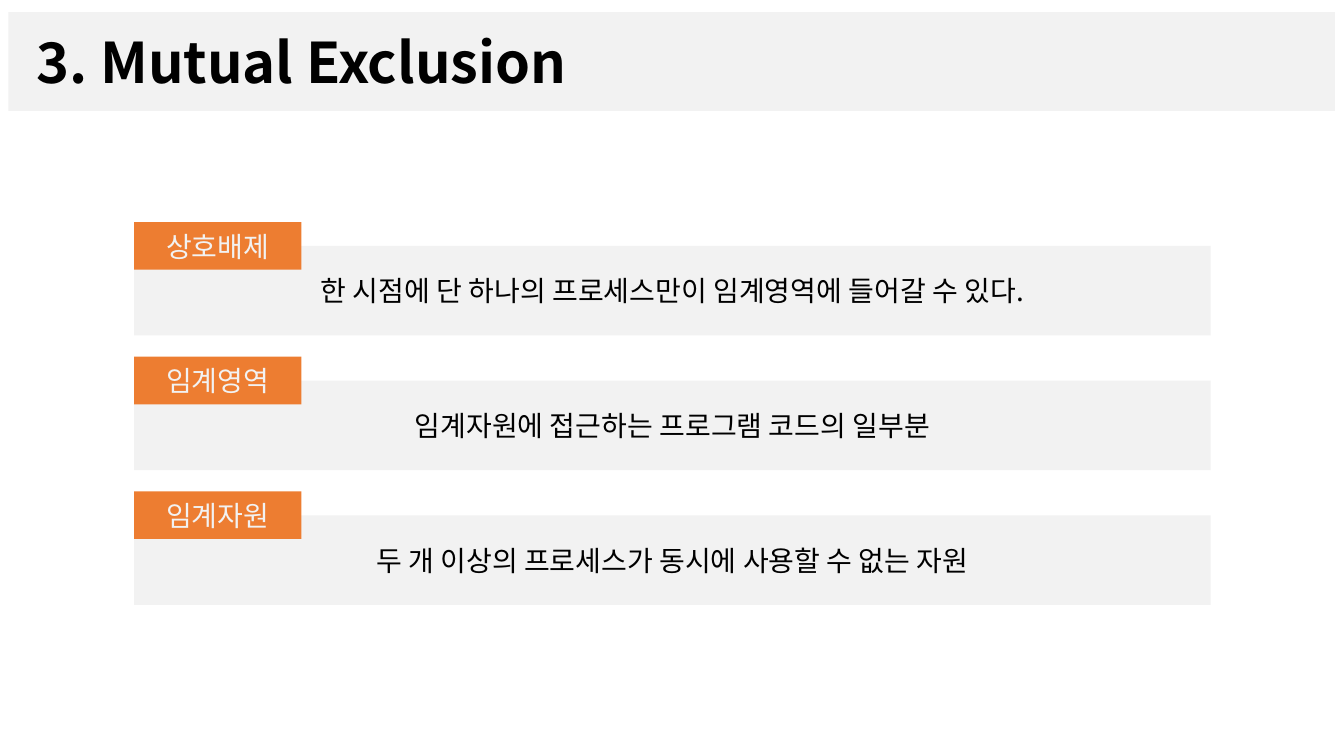
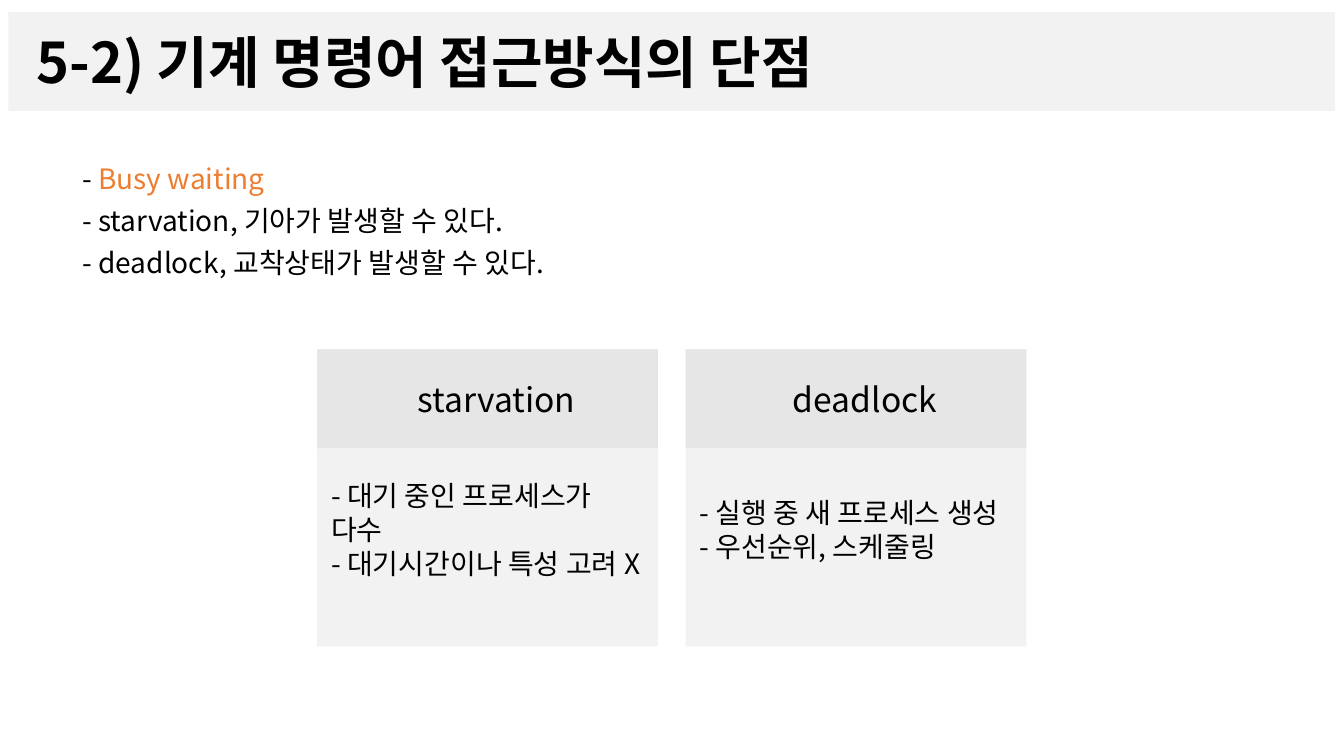
from dataclasses import dataclass

from lxml import etree
from pptx import Presentation
from pptx.dml.color import RGBColor
from pptx.enum.shapes import MSO_SHAPE
from pptx.enum.text import MSO_ANCHOR, MSO_AUTO_SIZE, PP_ALIGN
from pptx.oxml.ns import qn
from pptx.presentation import Presentation as Deck
from pptx.slide import Slide
from pptx.text.text import TextFrame, _Run
from pptx.util import Pt

RECTANGLE = MSO_SHAPE.RECTANGLE
MIDDLE = MSO_ANCHOR.MIDDLE
TOP = MSO_ANCHOR.TOP
NO_FIT = MSO_AUTO_SIZE.NONE
GROW = MSO_AUTO_SIZE.SHAPE_TO_FIT_TEXT
LEFT = PP_ALIGN.LEFT
CENTER = PP_ALIGN.CENTER

BLACK = RGBColor(0x00, 0x00, 0x00)
PALE_GRAY = RGBColor(0xF2, 0xF2, 0xF2)
HEADER_GRAY = RGBColor(0xE7, 0xE6, 0xE6)
ORANGE = RGBColor(0xED, 0x7D, 0x31)
FONT = "Noto Sans CJK KR"
BAND_HEIGHT = 70.6
WIDE_INSET = 20


@dataclass(frozen=True)
class Box:
    left: float
    top: float
    width: float
    height: float

    def lengths(self) -> tuple[Pt, Pt, Pt, Pt]:
        return Pt(self.left), Pt(self.top), Pt(self.width), Pt(self.height)


@dataclass(frozen=True)
class TextStyle:
    size: float = 20
    color: RGBColor = BLACK
    bold: bool = False
    align: PP_ALIGN = LEFT
    left_inset: float = 7.2
    top_inset: float = 3.6
    space_after: float = 0
    anchor: MSO_ANCHOR = MIDDLE


@dataclass(frozen=True)
class Definition:
    term: str
    meaning: str


@dataclass(frozen=True)
class Card:
    heading: str
    points: tuple[str, ...]


TITLE_BAND = Box(6, 8.6, 947.5, BAND_HEIGHT)
TITLE_STYLE = TextStyle(size=40, bold=True, left_inset=WIDE_INSET)
MEANING_STYLE = TextStyle(align=CENTER)
TERM_STYLE = TextStyle(color=PALE_GRAY, align=CENTER)
DRAWBACK_STYLE = TextStyle(space_after=6, anchor=TOP)
CARD_STYLE = TextStyle(left_inset=10, top_inset=48.2)
HEADING_STYLE = TextStyle(size=24, align=CENTER, left_inset=WIDE_INSET)

DEFINITIONS = (
    Definition("상호배제", "한 시점에 단 하나의 프로세스만이 임계영역에 들어갈 수 있다."),
    Definition("임계영역", "임계자원에 접근하는 프로그램 코드의 일부분"),
    Definition("임계자원", "두 개 이상의 프로세스가 동시에 사용할 수 없는 자원"),
)
DRAWBACKS = (
    "- ",
    "- starvation, 기아가 발생할 수 있다.",
    "- deadlock, 교착상태가 발생할 수 있다.",
)
CARDS = (
    Card("starvation", ("- 대기 중인 프로세스가 다수", "- 대기시간이나 특성 고려 X")),
    Card("deadlock", ("- 실행 중 새 프로세스 생성", "- 우선순위, 스케줄링")),
)


def format_run(run: _Run, style: TextStyle, color: RGBColor) -> None:
    run.font.size = Pt(style.size)
    run.font.bold = style.bold
    run.font.color.rgb = color
    run.font.name = FONT
    east_asian = etree.SubElement(run._r.get_or_add_rPr(), qn("a:ea"))
    east_asian.set("typeface", FONT)


def write(frame: TextFrame, lines: tuple[str, ...], style: TextStyle) -> None:
    frame.text = "\n".join(lines)
    frame.word_wrap = True
    frame.auto_size = NO_FIT
    frame.vertical_anchor = style.anchor
    frame.margin_left = Pt(style.left_inset)
    frame.margin_top = Pt(style.top_inset)
    frame.margin_right = Pt(7.2)
    frame.margin_bottom = Pt(3.6)
    for paragraph in frame.paragraphs:
        paragraph.alignment = style.align
        paragraph.space_after = Pt(style.space_after)
        for run in paragraph.runs:
            format_run(run, style, style.color)


def add_panel(slide: Slide, box: Box, fill: RGBColor,
              lines: tuple[str, ...], style: TextStyle) -> None:
    panel = slide.shapes.add_shape(RECTANGLE, *box.lengths())
    panel.shadow.inherit = False
    panel.fill.solid()
    panel.fill.fore_color.rgb = fill
    panel.line.fill.background()
    write(panel.text_frame, lines, style)


def add_titled_slide(deck: Deck, heading: str) -> Slide:
    slide = deck.slides.add_slide(deck.slide_layouts.get_by_name("Title Only"))
    title = slide.shapes.title
    title.left, title.top, title.width, title.height = TITLE_BAND.lengths()
    title.fill.solid()
    title.fill.fore_color.rgb = PALE_GRAY
    write(title.text_frame, (heading,), TITLE_STYLE)
    return slide


def add_definition(slide: Slide, definition: Definition, top: float) -> None:
    add_panel(slide, Box(95.8, top + 17.1, 769, 64), PALE_GRAY,
              (definition.meaning,), MEANING_STYLE)
    add_panel(slide, Box(95.8, top, 119.5, 34), ORANGE,
              (definition.term,), TERM_STYLE)


def add_card(slide: Slide, card: Card, left: float) -> None:
    add_panel(slide, Box(left, 249.6, 243.5, 212.2), PALE_GRAY,
              card.points, CARD_STYLE)
    add_panel(slide, Box(left, 249.6, 243.5, BAND_HEIGHT), HEADER_GRAY,
              (card.heading,), HEADING_STYLE)


def add_drawbacks(slide: Slide) -> None:
    box = Box(51.8, 111.6, 400.3, 92.2)
    frame = slide.shapes.add_textbox(*box.lengths()).text_frame
    write(frame, DRAWBACKS, DRAWBACK_STYLE)
    frame.auto_size = GROW
    busy_waiting = frame.paragraphs[0].add_run()
    busy_waiting.text = "Busy waiting"
    format_run(busy_waiting, DRAWBACK_STYLE, ORANGE)


def main() -> None:
    deck = Presentation()
    deck.slide_width, deck.slide_height = Pt(960), Pt(540)

    exclusion = add_titled_slide(deck, "3. Mutual Exclusion")
    for row, definition in enumerate(DEFINITIONS):
        add_definition(exclusion, definition, 158.6 + row * 96.2)

    instructions = add_titled_slide(deck, "5-2) 기계 명령어 접근방식의 단점")
    add_drawbacks(instructions)
    for column, card in enumerate(CARDS):
        add_card(instructions, card, 226.5 + column * 263.2)

    deck.save("out.pptx")


if __name__ == "__main__":
    main()
